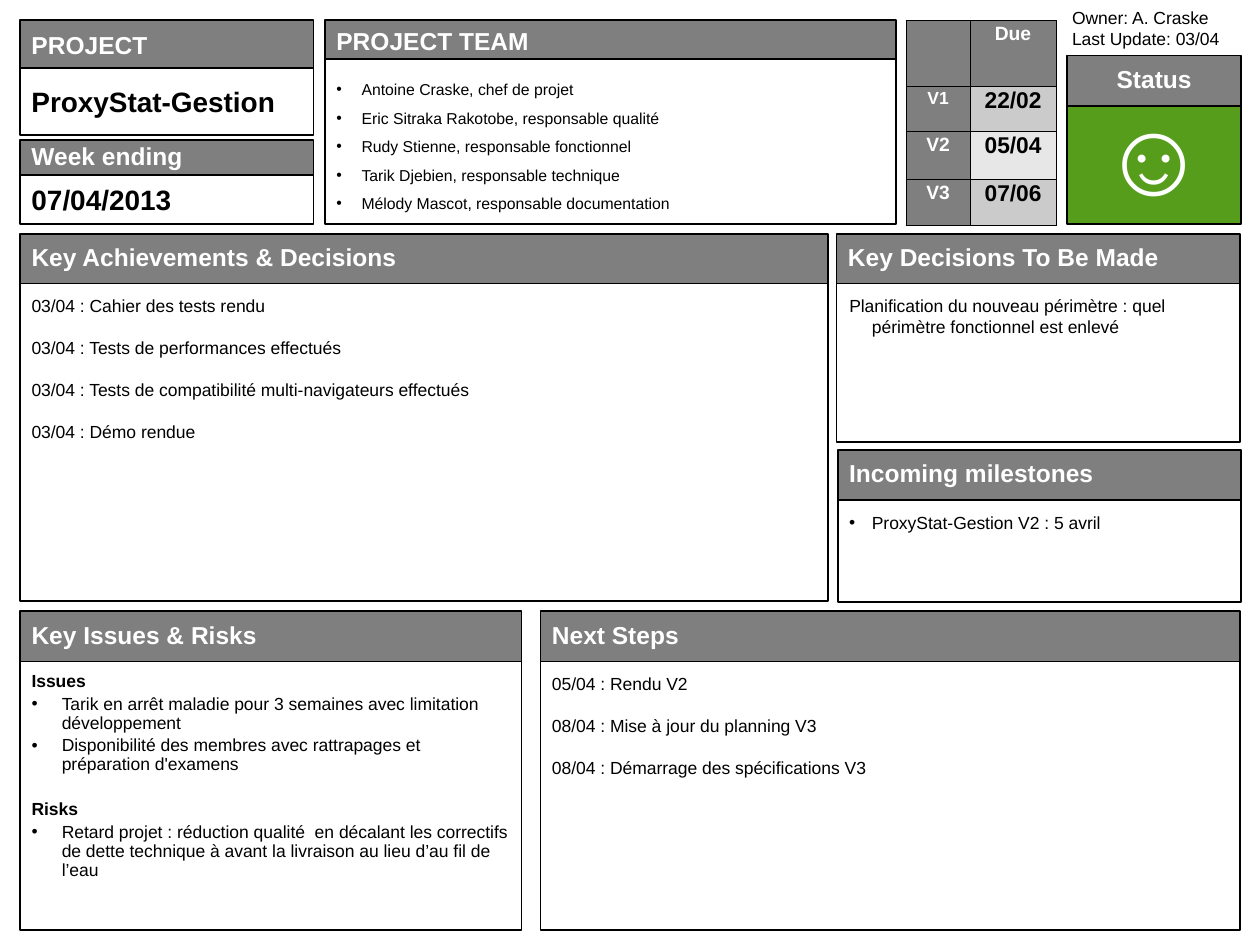
"""Builds a one-page weekly project status report."""
from dataclasses import dataclass, replace

from lxml import etree
from pptx import Presentation
from pptx.dml.color import RGBColor
from pptx.enum.shapes import MSO_SHAPE
from pptx.enum.text import MSO_ANCHOR, PP_ALIGN
from pptx.oxml.ns import qn
from pptx.util import Inches, Pt

RECTANGLE = MSO_SHAPE.RECTANGLE
TOP, MIDDLE = MSO_ANCHOR.TOP, MSO_ANCHOR.MIDDLE
LEFT, CENTER = PP_ALIGN.LEFT, PP_ALIGN.CENTER
FONT = "Arial"
COLORS = {
    "black": "000000", "white": "FFFFFF", "header": "7F7F7F",
    "green": "579D1C", "dark_band": "CBCBCB", "light_band": "E7E7E7",
}


@dataclass(frozen=True)
class Style:
    size: float = 10
    bold: bool = False
    color: str = "black"
    align: PP_ALIGN = LEFT
    spacing: float = 1.0
    before: float = 0
    margin: float = 0
    hanging: float = 0
    bullet: bool = False


@dataclass(frozen=True)
class Line:
    text: str
    style: Style


@dataclass(frozen=True)
class Panel:
    title: str
    left: float
    top: float
    width: float
    header_height: float
    body_height: float
    lines: list[Line]
    body_anchor: MSO_ANCHOR = TOP
    body_top_inset: float = 0.09
    header_top_inset: float = 0.05
    header_align: PP_ALIGN = LEFT
    body_fill: str = "white"


HEADER = Style(14, True, "white", spacing=0.9)
HEADLINE = Style(16, True)
PLAIN = Style()
SPACED = Style(before=12)
HANGING = Style(margin=0.19, hanging=0.18)
MILESTONE = Style(margin=0.18, hanging=0.18, bullet=True)
MEMBER = Style(9, spacing=1.5, margin=0.2, hanging=0.2, bullet=True)
RISK_TITLE = Style(bold=True, spacing=0.9, before=2)
RISK = Style(spacing=0.9, before=2, margin=0.24, hanging=0.24, bullet=True)
SMILEY = Style(60, False, "white", CENTER, 0.8, 15, 0.21, 0.21)
TABLE_HEAD = Style(11, True, "white", CENTER, 0.81)
TABLE_DATE = Style(13, True, "black", CENTER, 0.81)


def rgb(name: str) -> RGBColor:
    return RGBColor.from_string(COLORS[name])


def dated(*texts: str) -> list[Line]:
    return [Line(text, SPACED if index else PLAIN) for index, text in enumerate(texts)]


def styled(style: Style, *texts: str) -> list[Line]:
    return [Line(text, style) for text in texts]


PANELS = [
    Panel("PROJECT", 0.16, 0.16, 2.33, 0.38, 0.53, styled(HEADLINE, "ProxyStat-Gestion"),
          MIDDLE, 0.05, 0.09),
    Panel("Week ending", 0.16, 1.11, 2.33, 0.28, 0.39, styled(HEADLINE, "07/04/2013"),
          MIDDLE, 0.05),
    Panel("PROJECT TEAM", 2.58, 0.16, 4.53, 0.31, 1.31, styled(
        MEMBER,
        "Antoine Craske, chef de projet",
        "Eric Sitraka Rakotobe, responsable qualité",
        "Rudy Stienne, responsable fonctionnel",
        "Tarik Djebien, responsable technique",
        "Mélody Mascot, responsable documentation"), header_top_inset=0.09),
    Panel("Status", 8.47, 0.44, 1.38, 0.4, 0.94, styled(SMILEY, "☺"),
          MIDDLE, 0.05, header_align=CENTER, body_fill="green"),
    Panel("Key Achievements & Decisions", 0.16, 1.86, 6.41, 0.39, 2.52, dated(
        "03/04 : Cahier des tests rendu",
        "03/04 : Tests de performances effectués",
        "03/04 : Tests de compatibilité multi-navigateurs effectués",
        "03/04 : Démo rendue")),
    Panel("Key Decisions To Be Made", 6.64, 1.86, 3.2, 0.39, 1.26, styled(
        HANGING,
        "Planification du nouveau périmètre : quel périmètre fonctionnel est enlevé")),
    Panel("Incoming milestones", 6.65, 3.57, 3.2, 0.4, 0.81,
          styled(MILESTONE, "ProxyStat-Gestion V2 : 5 avril")),
    Panel("Key Issues & Risks", 0.16, 4.85, 3.98, 0.4, 2.13, [
        Line("Issues", RISK_TITLE),
        Line("Tarik en arrêt maladie pour 3 semaines avec limitation développement", RISK),
        Line("Disponibilité des membres avec rattrapages et préparation d'examens", RISK),
        Line("Risks", replace(RISK_TITLE, before=15)),
        Line("Retard projet : réduction qualité  en décalant les correctifs de dette "
             "technique à avant la livraison au lieu d’au fil de l’eau", RISK)]),
    Panel("Next Steps", 4.29, 4.85, 5.55, 0.4, 2.13, dated(
        "05/04 : Rendu V2",
        "08/04 : Mise à jour du planning V3",
        "08/04 : Démarrage des spécifications V3")),
]
VERSIONS = [
    ("", "Due", 11, 0.52, "header"),
    ("V1", "22/02", 10, 0.36, "dark_band"),
    ("V2", "05/04", 11, 0.38, "light_band"),
    ("V3", "07/06", 11, 0.37, "dark_band"),
]


def write_lines(frame, lines: list[Line]) -> None:
    for index, line in enumerate(lines):
        style = line.style
        para = frame.paragraphs[0] if index == 0 else frame.add_paragraph()
        para.alignment = style.align
        para.line_spacing = style.spacing
        para.space_before = Pt(style.before)
        properties = para._p.get_or_add_pPr()
        if style.margin:
            properties.set("marL", str(Inches(style.margin)))
            properties.set("indent", str(-Inches(style.hanging)))
        if style.bullet:
            color = etree.SubElement(properties, qn("a:buClr"))
            etree.SubElement(color, qn("a:srgbClr"), val=COLORS["black"])
            etree.SubElement(properties, qn("a:buFont"), typeface=FONT)
            etree.SubElement(properties, qn("a:buChar"), char="•")
        span = para.add_run()
        span.text = line.text
        span.font.name = FONT
        span.font.size = Pt(style.size)
        span.font.bold = style.bold
        span.font.color.rgb = rgb(style.color)


def set_insets(target, side: float, top: float) -> None:
    target.margin_left = target.margin_right = Inches(side)
    target.margin_top, target.margin_bottom = Inches(top), Inches(0.05)


def add_box(page, left: float, top: float, width: float, height: float, fill: str,
            lines: list[Line], anchor: MSO_ANCHOR, top_inset: float) -> None:
    box = page.shapes.add_shape(
        RECTANGLE, Inches(left), Inches(top), Inches(width), Inches(height))
    box.shadow.inherit = False
    box.fill.solid()
    box.fill.fore_color.rgb = rgb(fill)
    box.line.color.rgb = rgb("black")
    box.line.width = Pt(1)
    frame = box.text_frame
    frame.word_wrap = True
    frame.vertical_anchor = anchor
    set_insets(frame, 0.09, top_inset)
    write_lines(frame, lines)


def add_panel(page, panel: Panel) -> None:
    add_box(page, panel.left, panel.top + panel.header_height, panel.width,
            panel.body_height, panel.body_fill, panel.lines, panel.body_anchor,
            panel.body_top_inset)
    title = Line(panel.title, replace(HEADER, align=panel.header_align))
    add_box(page, panel.left, panel.top, panel.width, panel.header_height, "header",
            [title], MIDDLE, panel.header_top_inset)


def fill_cell(cell, text: str, style: Style, fill: str, side_inset: float) -> None:
    properties = cell._tc.get_or_add_tcPr()
    for edge in ("lnL", "lnR", "lnT", "lnB"):
        border = etree.SubElement(properties, qn(f"a:{edge}"), w=str(Pt(0.06)))
        solid = etree.SubElement(border, qn("a:solidFill"))
        etree.SubElement(solid, qn("a:srgbClr"), val=COLORS["black"])
    cell.fill.solid()
    cell.fill.fore_color.rgb = rgb(fill)
    set_insets(cell, side_inset, 0.05)
    if text:
        write_lines(cell.text_frame, [Line(text, style)])


def add_versions(page) -> None:
    table = page.shapes.add_table(
        len(VERSIONS), 2, Inches(7.19), Inches(0.16), Inches(1.19), Inches(1.63)).table
    table.first_row = table.horz_banding = False
    table.columns[0].width, table.columns[1].width = Inches(0.51), Inches(0.68)
    for index, (version, due, size, height, fill) in enumerate(VERSIONS):
        table.rows[index].height = Inches(height)
        fill_cell(table.cell(index, 0), version, replace(TABLE_HEAD, size=size), "header", 0.04)
        fill_cell(table.cell(index, 1), due, TABLE_DATE if index else TABLE_HEAD, fill, 0.11)


def main() -> None:
    deck = Presentation()
    deck.slide_width, deck.slide_height = Inches(10), Inches(7.5)
    page = deck.slides.add_slide(deck.slide_layouts[6])
    for panel in PANELS:
        add_panel(page, panel)
    add_versions(page)
    owner = page.shapes.add_textbox(Inches(8.41), Inches(0.01), Inches(1.42), Inches(0.44))
    owner.text_frame.word_wrap = True
    write_lines(owner.text_frame, styled(PLAIN, "Owner: A. Craske", "Last Update: 03/04"))
    deck.save("out.pptx")


if __name__ == "__main__":
    main()
